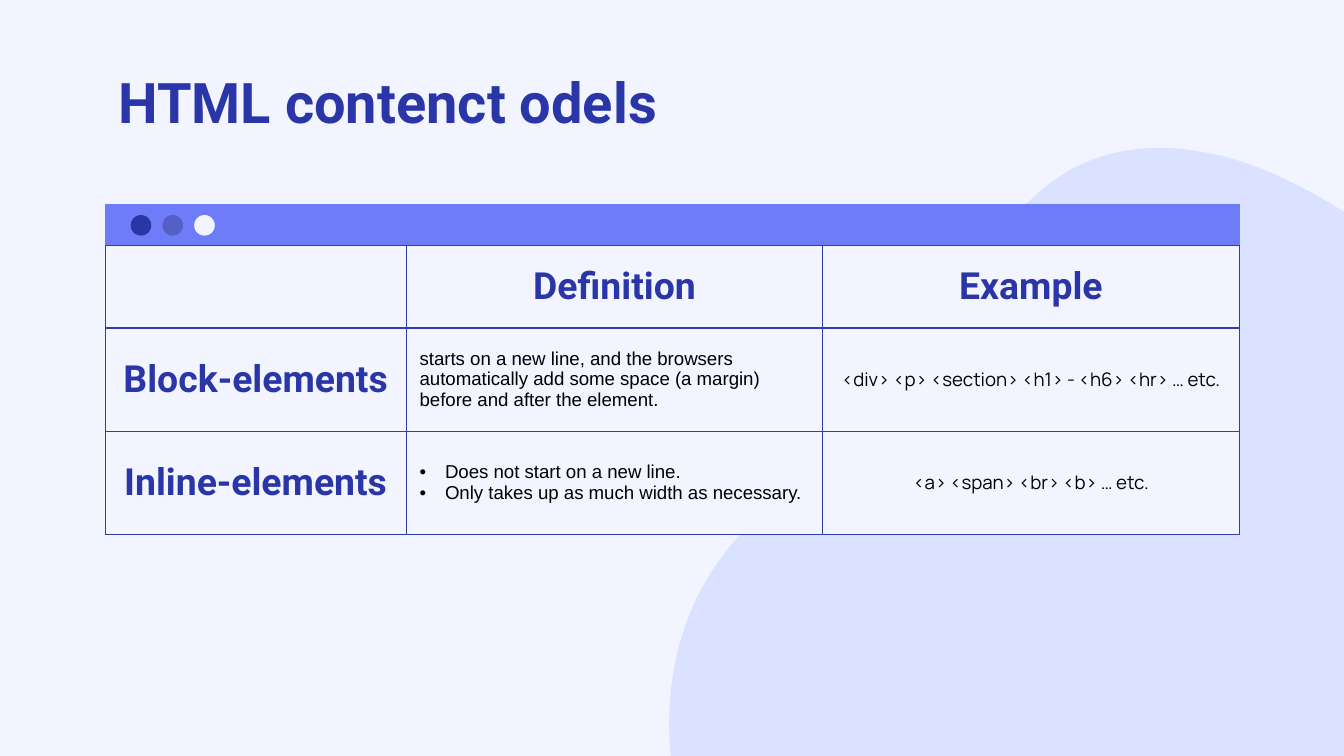
"""Build a slide comparing block and inline elements."""
from lxml import etree
from pptx import Presentation
from pptx import util as u
from pptx.dml.color import RGBColor
from pptx.enum import shapes, text
from pptx.oxml import ns

PALE = RGBColor(0xF2, 0xF5, 0xFF)
MIST = RGBColor(0xDB, 0xE2, 0xFF)
BLUE = RGBColor(0x6F, 0x7C, 0xF8)
NAVY = RGBColor(0x2A, 0x36, 0xA7)
IRIS = RGBColor(0x55, 0x60, 0xC7)
EDGE = RGBColor(0x2F, 0x3C, 0xB4)
BLACK = RGBColor(0, 0, 0)
LEFT = text.PP_ALIGN.LEFT
MID = text.PP_ALIGN.CENTER

HEAD = dict(font="Roboto", size=20, color=NAVY, bold=True, align=MID)
BODY = dict(font="Arial", size=10)
CODE = dict(font="Manrope", size=10, align=MID)
ROWS = [
    [([], HEAD), (["Definition"], HEAD), (["Example"], HEAD)],
    [(["Block-elements"], HEAD),
     (["starts on a new line, and the browsers automatically add some space "
       "(a margin) before and after the element."], BODY),
     (["<div> <p> <section> <h1> - <h6> <hr> … etc."], CODE)],
    [(["Inline-elements"], HEAD),
     (["Does not start on a new line.",
       "Only takes up as much width as necessary."], dict(BODY, bullet=True)),
     (["<a> <span> <br> <b> … etc."], CODE)],
]

START = (8.63, 1.1)
CURVES = [
    (8.42, 1.1, 8.22, 1.14, 8.03, 1.23), (7.33, 1.57, 7.19, 2.39, 6.72, 2.94),
    (6.53, 3.16, 6.3, 3.32, 6.07, 3.49), (6.06, 3.49, 6.05, 3.5, 6.05, 3.5),
    (5.66, 3.78, 5.29, 4.14, 5.12, 4.6), (4.96, 5.01, 4.94, 5.49, 5.04, 5.93),
    (5.31, 7.05, 6.4, 7.84, 7.48, 8.09), (7.73, 8.15, 7.99, 8.18, 8.24, 8.18),
    (9.5, 8.18, 10.73, 7.49, 11.35, 6.37),
    (11.55, 5.99, 11.69, 5.58, 11.75, 5.16),
    (11.78, 4.93, 11.79, 4.7, 11.78, 4.47),
    (11.77, 4.4, 11.77, 4.33, 11.76, 4.26),
    (11.72, 3.97, 11.65, 3.68, 11.54, 3.41),
    (11.25, 2.67, 10.67, 2.01, 9.99, 1.57),
    (9.67, 1.37, 9.31, 1.19, 8.94, 1.13), (8.84, 1.11, 8.73, 1.1, 8.63, 1.1),
]


def write(frame, lines, font="Arial", size=10, color=BLACK, bold=False,
          align=LEFT, bullet=False):
    """Fill a text frame with one formatted paragraph per line."""
    for i, line in enumerate(lines):
        para = frame.add_paragraph() if i else frame.paragraphs[0]
        para.alignment = align
        if bullet:
            props = para._p.get_or_add_pPr()
            props.set("marL", str(u.Cm(0.48)))
            props.set("indent", str(-u.Cm(0.48)))
            etree.SubElement(props, ns.qn("a:buFont"), typeface="Arial")
            etree.SubElement(props, ns.qn("a:buChar"), char="•")
        run = para.add_run()
        run.text = line
        run.font.name, run.font.size = font, u.Pt(size)
        run.font.bold, run.font.color.rgb = bold, color


def paint(shape, color):
    """Give a shape a flat fill with no line or shadow."""
    shape.shadow.inherit = False
    shape.fill.solid()
    shape.fill.fore_color.rgb = color
    shape.line.fill.background()


def bend(shape):
    """Turn each three line segments of an outline into a cubic curve."""
    lines = list(shape._element.iter(ns.qn("a:lnTo")))
    for i in range(0, len(lines), 3):
        curve = etree.Element(ns.qn("a:cubicBezTo"))
        lines[i].addprevious(curve)
        for line in lines[i:i + 3]:
            curve.append(line[0])
            line.getparent().remove(line)


def add_blob(slide):
    """Draw the soft rounded backdrop."""
    grain = 100
    pen = slide.shapes.build_freeform(*(n * grain for n in START),
                                      scale=u.Cm(2.54) / grain)
    pen.add_line_segments([(c[i] * grain, c[i + 1] * grain)
                           for c in CURVES for i in (0, 2, 4)], close=True)
    blob = pen.convert_to_shape()
    bend(blob)
    paint(blob, MIST)


def add_title(slide, words, left, top, width, height):
    """Place and format the title."""
    title = slide.shapes.title
    title.left, title.top = u.Cm(left), u.Cm(top)
    title.width, title.height = u.Cm(width), u.Cm(height)
    frame = title.text_frame
    frame.word_wrap = True
    frame.auto_size = text.MSO_AUTO_SIZE.NONE
    frame.vertical_anchor = text.MSO_ANCHOR.TOP
    frame.margin_left = frame.margin_right = u.Cm(0.25)
    frame.margin_top = frame.margin_bottom = 0
    write(frame, [words], font="Roboto", size=30, color=NAVY, bold=True)


def add_bar(slide, left, top, width, height):
    """Draw a window bar with three dots."""
    group = slide.shapes.add_group_shape().shapes
    bar = group.add_shape(shapes.MSO_SHAPE.RECTANGLE, u.Cm(left), u.Cm(top),
                          u.Cm(width), u.Cm(height))
    paint(bar, BLUE)
    bar.line.color.rgb, bar.line.width = BLUE, u.Pt(0.75)
    side, step = 0.39, 0.6
    for i, color in enumerate((NAVY, IRIS, PALE)):
        dot = group.add_shape(
            shapes.MSO_SHAPE.OVAL, u.Cm(left + 0.48 + i * step),
            u.Cm(top + (height - side) / 2), u.Cm(side), u.Cm(side))
        paint(dot, color)


def add_edges(cell):
    """Outline a table cell on all four sides."""
    props = cell._tc.get_or_add_tcPr()
    for i, tag in enumerate(("a:lnL", "a:lnR", "a:lnT", "a:lnB")):
        line = etree.Element(ns.qn(tag), w=str(u.Pt(0.75)))
        fill = etree.SubElement(line, ns.qn("a:solidFill"))
        etree.SubElement(fill, ns.qn("a:srgbClr"), val=str(EDGE))
        props.insert(i, line)


def add_grid(slide, left, top, widths, heights):
    """Build the comparison table."""
    grid = slide.shapes.add_table(
        len(heights), len(widths), u.Cm(left), u.Cm(top),
        u.Cm(sum(widths)), u.Cm(sum(heights))).table
    for col, width in zip(grid.columns, widths):
        col.width = u.Cm(width)
    for row, height, items in zip(grid.rows, heights, ROWS):
        row.height = u.Cm(height)
        for cell, (lines, style) in zip(row.cells, items):
            cell.fill.solid()
            cell.fill.fore_color.rgb = PALE
            cell.vertical_anchor = text.MSO_ANCHOR.MIDDLE
            cell.margin_left = cell.margin_right = u.Cm(0.25)
            cell.margin_top = cell.margin_bottom = u.Cm(0.25)
            add_edges(cell)
            write(cell.text_frame, lines, **style)


def main():
    """Assemble and save the slide."""
    deck = Presentation()
    deck.slide_width, deck.slide_height = u.Cm(25.4), u.Cm(14.29)
    slide = deck.slides.add_slide(deck.slide_layouts[5])
    slide.background.fill.solid()
    slide.background.fill.fore_color.rgb = PALE
    left, width = 1.99, 21.43
    add_blob(slide)
    add_title(slide, "HTML contenct odels", left, 1.27, width, 1.6)
    add_bar(slide, left, 3.87, width, 0.78)
    add_grid(slide, left, 4.64, (5.69, 7.87, 7.87), (1.56, 1.95, 1.95))
    deck.save("out.pptx")


if __name__ == "__main__":
    main()
